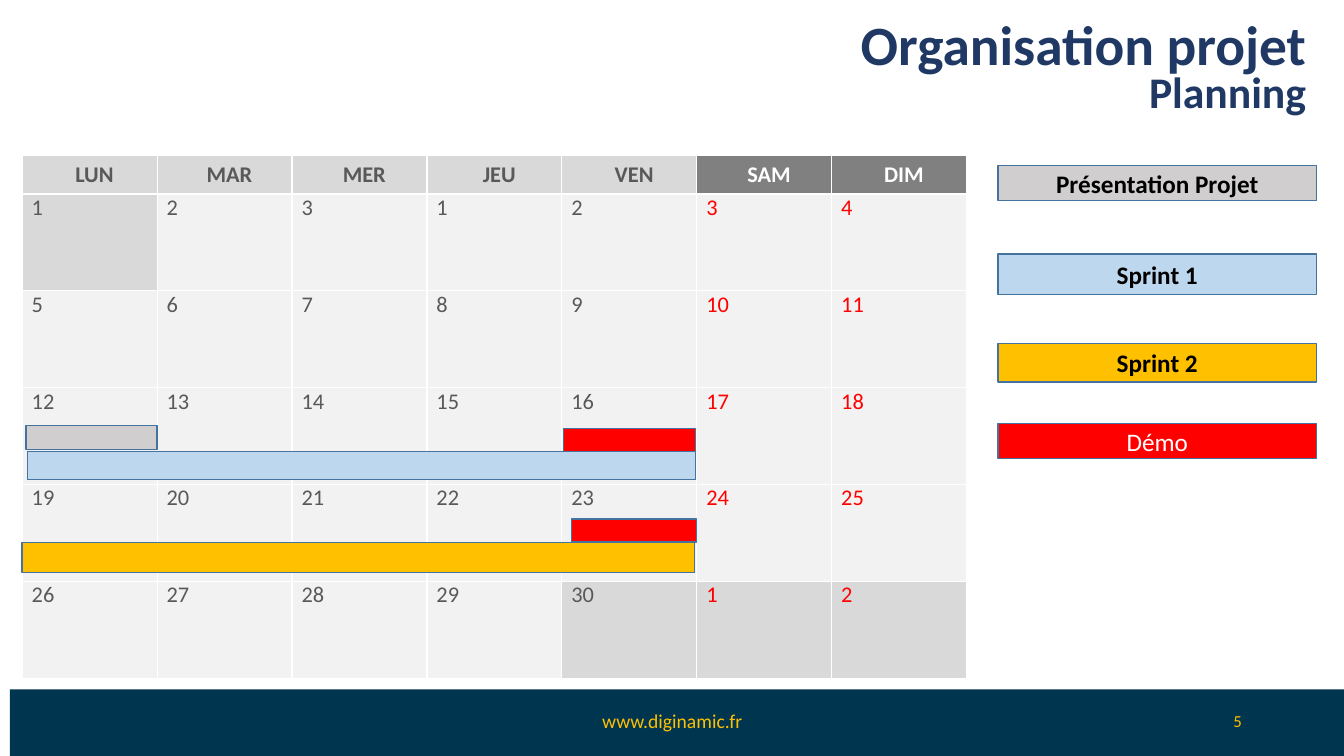
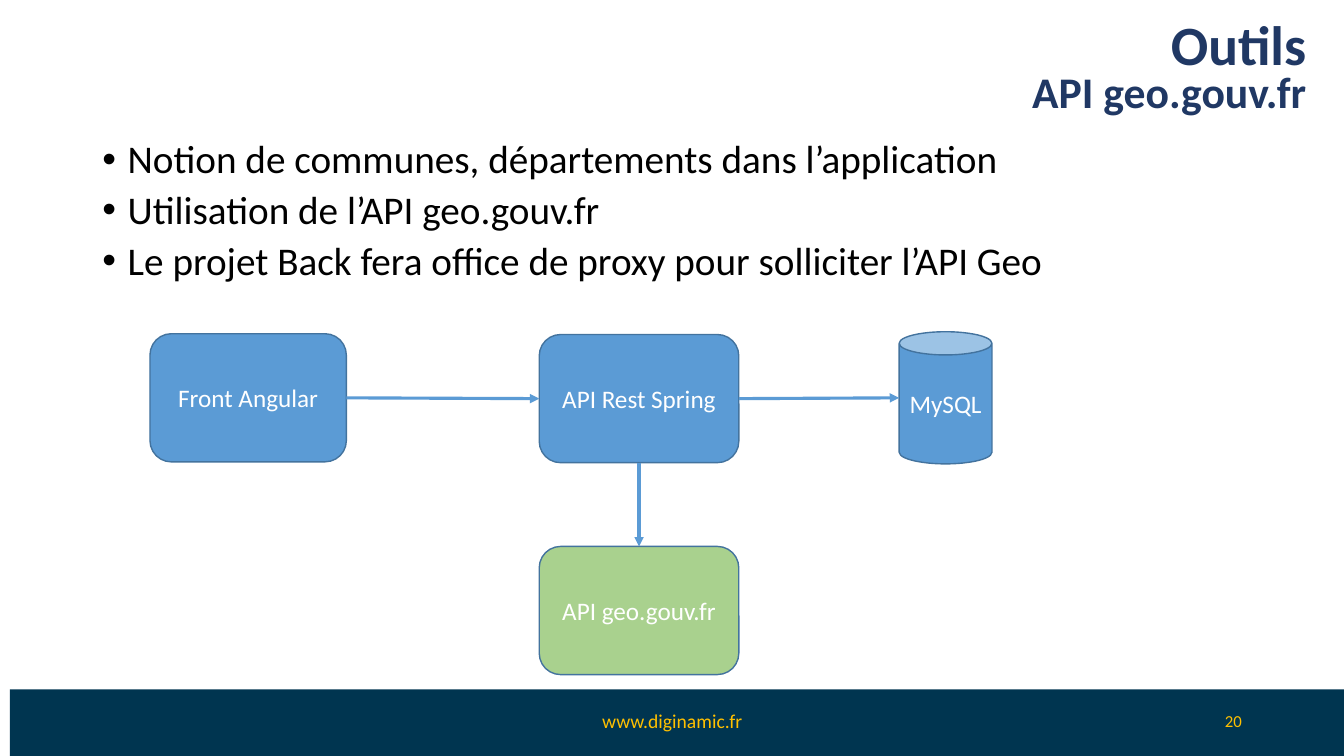
from lxml import etree
from pptx import Presentation
from pptx.dml.color import RGBColor
from pptx.enum.shapes import MSO_CONNECTOR, MSO_SHAPE
from pptx.enum.text import MSO_ANCHOR, PP_ALIGN
from pptx.oxml.ns import qn
from pptx.util import Cm, Pt

RECT, ROUNDED, CAN = MSO_SHAPE.RECTANGLE, MSO_SHAPE.ROUNDED_RECTANGLE, MSO_SHAPE.CAN
STRAIGHT = MSO_CONNECTOR.STRAIGHT
LEFT, CENTER, RIGHT = PP_ALIGN.LEFT, PP_ALIGN.CENTER, PP_ALIGN.RIGHT
TOP, MIDDLE = MSO_ANCHOR.TOP, MSO_ANCHOR.MIDDLE
TOP_SITE, LEFT_SITE, BOTTOM_SITE, RIGHT_SITE = range(4)
CAN_LEFT_SITE = 2

FONT = "Calibri"
NAVY, TITLE_BLUE, OUTLINE = "003550", "203864", "43739E"
GOLD, RED, PALE_BLUE, SILVER = "FFC000", "FF0000", "BDD7EE", "D0CECE"
BLUE, GREEN, WHITE, BLACK = "5B9BD5", "A9D18E", "FFFFFF", "000000"
DARK_GRAY, MID_GRAY, GRAY, LIGHT_GRAY = "595959", "808080", "D9D9D9", "F2F2F2"

rgb = RGBColor.from_string


def write(frame, lines, size, color, bold=False, align=LEFT, anchor=MIDDLE, spacing=1.0):
    """Fill a text frame with one paragraph per line."""
    frame.word_wrap = True
    frame.vertical_anchor = anchor
    for number, line in enumerate(lines):
        para = frame.add_paragraph() if number else frame.paragraphs[0]
        para.alignment = align
        para.line_spacing = spacing
        span = para.add_run()
        span.text = line
        for name, value in {"name": FONT, "size": Pt(size), "bold": bold}.items():
            setattr(span.font, name, value)
        span.font.color.rgb = rgb(color)


def add_box(page, kind, place, fill, outline=OUTLINE):
    box = page.shapes.add_shape(kind, *map(Cm, place))
    box.shadow.inherit = False
    box.fill.solid()
    box.fill.fore_color.rgb = rgb(fill)
    if outline:
        box.line.color.rgb = rgb(outline)
        box.line.width = Pt(1)
    else:
        box.line.fill.background()
    box.text_frame.margin_left = box.text_frame.margin_right = Cm(0.1)
    return box


deck = Presentation()
deck.slide_width, deck.slide_height = Cm(33.87), Cm(19.05)

# Title, subtitle and footer of every page
pages = []
for title, subtitle, page_number in (
    ("Organisation projet", "Planning", "5"),
    ("Outils", "API geo.gouv.fr", "20"),
):
    page = deck.slides.add_slide(deck.slide_layouts[6])
    pages.append(page)
    add_box(page, RECT, (0.25, 17.37, 33.62, 1.68), NAVY, outline=None)
    heading = {"color": TITLE_BLUE, "bold": True, "align": RIGHT, "spacing": 0.9}
    for text, place, style in (
        (title, (3.96, 0.25, 29.21, 1.88), {"size": 39.6, **heading}),
        (subtitle, (3.96, 1.45, 29.21, 1.88), {"size": 31.2, **heading}),
        ("www.diginamic.fr", (11.23, 17.65, 11.43, 1.02),
         {"size": 14, "color": GOLD, "align": CENTER}),
        (page_number, (23.93, 17.65, 7.62, 1.02),
         {"size": 12, "color": GOLD, "align": RIGHT}),
    ):
        box = page.shapes.add_textbox(*map(Cm, place))
        write(box.text_frame, [text], **style)
planning, tools = pages

# Calendar
WEEKDAYS = ["LUN", "MAR", "MER", "JEU", "VEN", "SAM", "DIM"]
days = [1, 2, 3, *range(1, 31), 1, 2]
weeks = [days[start:start + 7] for start in range(0, len(days), 7)]
calendar = planning.shapes.add_table(6, 7, Cm(0.56), Cm(3.91), Cm(23.8), Cm(13.18)).table
for column in calendar.columns:
    column.width = Cm(3.4)
for number, row in enumerate(calendar.rows):
    row.height = Cm(2.44 if number else 0.98)

for row, entries in enumerate([WEEKDAYS, *weeks]):
    for column, entry in enumerate(entries):
        cell = calendar.cell(row, column)
        weekend = column >= 5
        cell.margin_left = Cm(0.24)
        cell.margin_right = cell.margin_top = cell.margin_bottom = 0
        if row == 0:
            fill, color = (MID_GRAY, WHITE) if weekend else (GRAY, DARK_GRAY)
            write(cell.text_frame, [entry], 16, color, bold=True, align=CENTER)
        else:
            other_month = (row, column) == (1, 0) or (row == 5 and column >= 4)
            fill = GRAY if other_month else LIGHT_GRAY
            write(cell.text_frame, [str(entry)], 16, RED if weekend else DARK_GRAY)
        cell.vertical_anchor = TOP if row else MIDDLE
        properties = cell._tc.get_or_add_tcPr()
        for side in ("a:lnL", "a:lnR", "a:lnT", "a:lnB"):
            border = etree.SubElement(properties, qn(side), w=str(Pt(1)))
            solid = etree.SubElement(border, qn("a:solidFill"))
            etree.SubElement(solid, qn("a:srgbClr"), val=WHITE)
        cell.fill.solid()
        cell.fill.fore_color.rgb = rgb(fill)

# Periods laid over the calendar
for place, fill in (
    ((0.56, 13.67, 16.94, 0.76), GOLD),
    ((0.66, 10.72, 3.3, 0.61), SILVER),
    ((14.4, 13.08, 3.15, 0.58), RED),
    ((14.2, 10.8, 3.33, 0.58), RED),
    ((0.69, 11.38, 16.84, 0.71), PALE_BLUE),
):
    add_box(planning, RECT, place, fill)

# Legend
for label, top, height, fill, color, bold in (
    ("Présentation Projet", 4.17, 0.89, SILVER, BLACK, True),
    ("Sprint 1", 6.4, 1.02, PALE_BLUE, BLACK, True),
    ("Sprint 2", 8.66, 0.97, GOLD, BLACK, True),
    ("Démo", 10.67, 0.89, RED, WHITE, False),
):
    box = add_box(planning, RECT, (25.15, top, 8.03, height), fill)
    write(box.text_frame, [label], 18, color, bold=bold, align=CENTER)

# Bulleted points
body = tools.shapes.add_textbox(Cm(2.33), Cm(3.4), Cm(29.21), Cm(4.5)).text_frame
write(body, [
    "Notion de communes, départements dans l’application",
    "Utilisation de l’API geo.gouv.fr",
    "Le projet Back fera office de proxy pour solliciter l’API Geo",
], 28, BLACK, anchor=TOP, spacing=0.9)
for number, para in enumerate(body.paragraphs):
    para.space_before = Pt(6 if number else 0)
    properties = para._p.get_or_add_pPr()
    properties.set("marL", str(Cm(0.64)))
    properties.set("indent", str(-Cm(0.64)))
    etree.SubElement(properties, qn("a:buFont"), typeface="Arial")
    etree.SubElement(properties, qn("a:buChar"), char="•")

# Architecture diagram
nodes = {}
for label, kind, place, fill in (
    ("Front Angular", ROUNDED, (3.78, 8.41, 4.95, 3.23), BLUE),
    ("MySQL", CAN, (22.66, 8.36, 2.34, 3.33), BLUE),
    ("API Rest Spring", ROUNDED, (13.59, 8.43, 5.03, 3.23), BLUE),
    ("API geo.gouv.fr", ROUNDED, (13.59, 13.77, 5.03, 3.23), GREEN),
):
    nodes[label] = add_box(tools, kind, place, fill)
    write(nodes[label].text_frame, [label], 18, WHITE, align=CENTER)

for source, source_site, target, target_site in (
    ("Front Angular", RIGHT_SITE, "API Rest Spring", LEFT_SITE),
    ("API Rest Spring", RIGHT_SITE, "MySQL", CAN_LEFT_SITE),
    ("API Rest Spring", BOTTOM_SITE, "API geo.gouv.fr", TOP_SITE),
):
    arrow = tools.shapes.add_connector(STRAIGHT, 0, 0, 0, 0)
    arrow.begin_connect(nodes[source], source_site)
    arrow.end_connect(nodes[target], target_site)
    if target == "MySQL":
        # A can numbers its sites differently from a rectangle
        arrow.end_x = nodes[target].left
        arrow.end_y = nodes[target].top + nodes[target].height // 2
    arrow.line.color.rgb = rgb(BLUE)
    arrow.line.width = Pt(2.25)
    etree.SubElement(arrow.line._get_or_add_ln(), qn("a:tailEnd"), type="triangle")
    etree.SubElement(arrow._element.spPr, qn("a:effectLst"))

deck.save("out.pptx")
